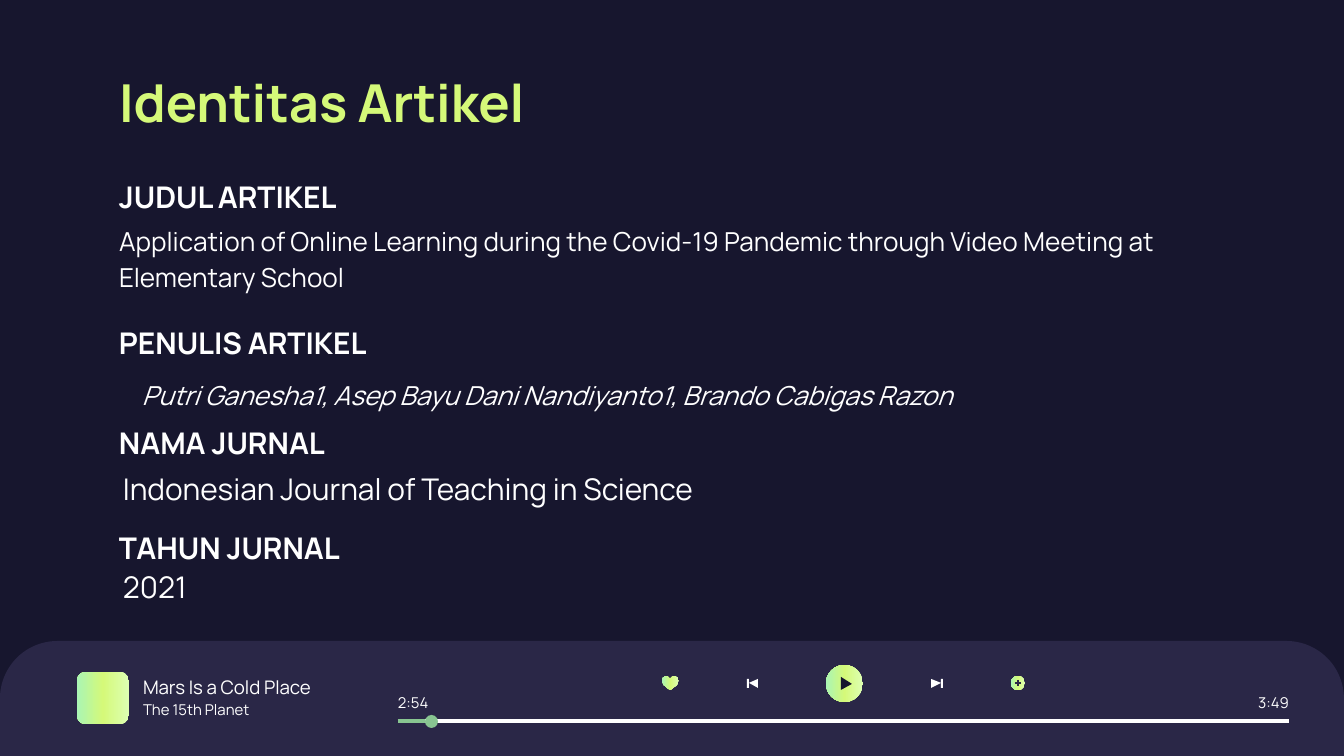
from copy import deepcopy
from dataclasses import dataclass

from pptx import Presentation
from pptx.dml.color import RGBColor
from pptx.enum.shapes import MSO_CONNECTOR, MSO_SHAPE
from pptx.enum.text import MSO_ANCHOR, MSO_AUTO_SIZE, PP_ALIGN
from pptx.oxml.ns import qn
from pptx.util import Emu, Pt

LEFT, RIGHT = PP_ALIGN.LEFT, PP_ALIGN.RIGHT
TOP, MIDDLE = MSO_ANCHOR.TOP, MSO_ANCHOR.MIDDLE
NO_AUTOFIT = MSO_AUTO_SIZE.NONE
STRAIGHT = MSO_CONNECTOR.STRAIGHT
OVAL, RECT = MSO_SHAPE.OVAL, MSO_SHAPE.RECTANGLE
ROUNDED, TOP_ROUNDED = MSO_SHAPE.ROUNDED_RECTANGLE, MSO_SHAPE.ROUND_2_SAME_RECTANGLE

EMU_PER_PX = 914400 / 134.4


@dataclass(frozen=True)
class Theme:
    """Colours and type sizes of the slide."""
    font: str = "Manrope"
    night: str = "17162E"
    panel: str = "2A2747"
    white: str = "FFFFFF"
    lime: str = "D5F979"
    green: str = "88C591"
    glow: tuple = ("DDFFB2", "D5F979", "A9F5B4")
    title: int = 28
    heading: int = 16
    body: int = 14
    song: int = 10
    small: int = 8


THEME = Theme()


@dataclass(frozen=True)
class Label:
    """One text with its box in pixels and its format."""
    text: str
    box: tuple
    size: int
    color: str = THEME.white
    bold: bool = False
    italic: bool = False
    align: PP_ALIGN = LEFT
    anchor: MSO_ANCHOR = MIDDLE
    inset: tuple = (13, 13)
    indent: int = 0
    spacing: float = 1.0


def px(length: float) -> Emu:
    """Turn pixels into EMU."""
    return Emu(round(length * EMU_PER_PX))


def rgb(color: str) -> RGBColor:
    """Read a hex colour."""
    return RGBColor.from_string(color)


def write(shape, label: Label) -> None:
    """Place a text shape and fill it with a label."""
    shape.left, shape.top, shape.width, shape.height = map(px, label.box)
    frame = shape.text_frame
    frame.word_wrap = True
    frame.auto_size = NO_AUTOFIT
    frame.vertical_anchor = label.anchor
    frame.margin_left = frame.margin_right = px(label.inset[0])
    frame.margin_top = frame.margin_bottom = px(label.inset[1])
    frame.text = label.text
    paragraph = frame.paragraphs[0]
    paragraph.alignment = label.align
    paragraph.line_spacing = label.spacing
    paragraph.space_before = Pt(0)
    font = paragraph.font
    font.name, font.size = THEME.font, Pt(label.size)
    font.bold, font.italic = label.bold, label.italic
    font.color.rgb = rgb(label.color)
    properties = paragraph._p.get_or_add_pPr()
    properties.set("marL", str(px(label.indent)))
    properties.set("indent", "0")


def paint(shape, color: str | tuple) -> None:
    """Fill a shape with one colour or a right-to-left gradient."""
    shape.shadow.inherit = False
    shape.line.fill.background()
    if isinstance(color, str):
        shape.fill.solid()
        shape.fill.fore_color.rgb = rgb(color)
        return
    shape.fill.gradient()
    shape.fill.gradient_angle = 180
    stops = shape._element.spPr.find(".//" + qn("a:gsLst"))
    stops.insert(1, deepcopy(stops[0]))
    for index, stop in enumerate(shape.fill.gradient_stops):
        stop.color.rgb = rgb(color[index])
        stop.position = index / 2


def add_preset(slide, kind: MSO_SHAPE, box: tuple, color: str | tuple, *adjustments: float) -> None:
    """Draw a filled preset shape."""
    shape = slide.shapes.add_shape(kind, *map(px, box))
    for index, value in enumerate(adjustments):
        shape.adjustments[index] = value
    paint(shape, color)


def add_outline(slide, points: list, color: str | tuple) -> None:
    """Draw a filled polygon."""
    builder = slide.shapes.build_freeform(*points[0], scale=EMU_PER_PX)
    builder.add_line_segments(points[1:], close=True)
    paint(builder.convert_to_shape(), color)


def add_line(slide, ends: tuple, color: str, width: float) -> None:
    """Draw a straight line without a shadow."""
    line = slide.shapes.add_connector(STRAIGHT, *map(px, ends))
    line.line.color.rgb = rgb(color)
    line.line.width = Pt(width)
    properties = line._element.spPr
    properties.append(properties.makeelement(qn("a:effectLst"), {}))


def add_player(slide) -> None:
    """Draw the music player bar with its controls."""
    add_preset(slide, TOP_ROUNDED, (0, 641, 1344, 115), THEME.panel, 0.5, 0)
    add_preset(slide, ROUNDED, (77, 672, 52, 52), THEME.glow, 0.167)
    heart = [(675, 676), (672, 677), (670, 679), (668, 677), (666, 676), (663, 678),
             (662, 681), (664, 685), (670, 690), (677, 685), (679, 681), (678, 678)]
    add_outline(slide, heart, THEME.glow)

    add_preset(slide, OVAL, (1011, 676, 14, 14), THEME.glow)
    for plus_stroke in ((1018, 680, 1018, 686), (1015, 683, 1021, 683)):
        add_line(slide, plus_stroke, THEME.panel, 0.75)

    add_preset(slide, OVAL, (826, 665, 37, 37), THEME.glow)
    add_outline(slide, [(841, 677), (841, 690), (852, 684)], THEME.night)
    for base, tip, bar in ((758, 749, 747), (931, 941, 941)):
        add_outline(slide, [(base, 679), (base, 688), (tip, 683)], THEME.white)
        add_preset(slide, RECT, (bar, 679, 2, 9), THEME.white)

    add_line(slide, (398, 721, 1289, 721), THEME.white, 2.25)
    add_preset(slide, OVAL, (425, 715, 13, 13), THEME.green)
    add_line(slide, (398, 721, 425, 721), THEME.green, 2.25)


TITLE = Label("Identitas Artikel", (106, 59, 1133, 85), THEME.title, THEME.lime, bold=True)
ARTICLE = Label("Application of Online Learning during the Covid-19 Pandemic through Video "
                "Meeting at Elementary School", (106, 208, 1133, 97), THEME.body,
                anchor=TOP, spacing=1.15)
HEADINGS = [Label(text, (106, top, 280, 48), THEME.heading, bold=True) for text, top in (
    ("JUDUL ARTIKEL", 173), ("PENULIS ARTIKEL", 319),
    ("NAMA JURNAL", 419), ("TAHUN JURNAL", 524))]
JOURNAL = [Label(text, (110, top, 668, 50), THEME.heading, anchor=TOP, inset=(13, 7))
           for text, top in (("Indonesian Journal of Teaching in Science", 464), ("2021", 562))]
AUTHORS = Label("Putri Ganesha1, Asep Bayu Dani Nandiyanto1, Brando Cabigas Razon",
                (106, 362, 1133, 55), THEME.body, italic=True, anchor=TOP,
                indent=23, spacing=1.15)
PLAYER_TEXTS = [
    Label("Mars Is a Cold Place", (130, 676, 257, 23), THEME.song),
    Label("The 15th Planet", (130, 698, 155, 23), THEME.small),
    Label("2:54", (398, 691, 36, 23), THEME.small, inset=(0, 13)),
    Label("3:49", (1253, 691, 36, 23), THEME.small, align=RIGHT, inset=(0, 13)),
]


def main() -> None:
    """Build and save the slide."""
    deck = Presentation()
    deck.slide_width, deck.slide_height = px(1344), px(756)
    slide = deck.slides.add_slide(deck.slide_layouts[1])
    slide.background.fill.solid()
    slide.background.fill.fore_color.rgb = rgb(THEME.night)

    write(slide.shapes.title, TITLE)
    article = slide.placeholders[1]
    write(article, ARTICLE)
    properties = article.text_frame.paragraphs[0]._p.get_or_add_pPr()
    properties.append(properties.makeelement(qn("a:buNone"), {}))

    add_player(slide)
    for label in (*PLAYER_TEXTS, *HEADINGS, AUTHORS, *JOURNAL):
        write(slide.shapes.add_textbox(0, 0, 0, 0), label)
    deck.save("out.pptx")


main()
